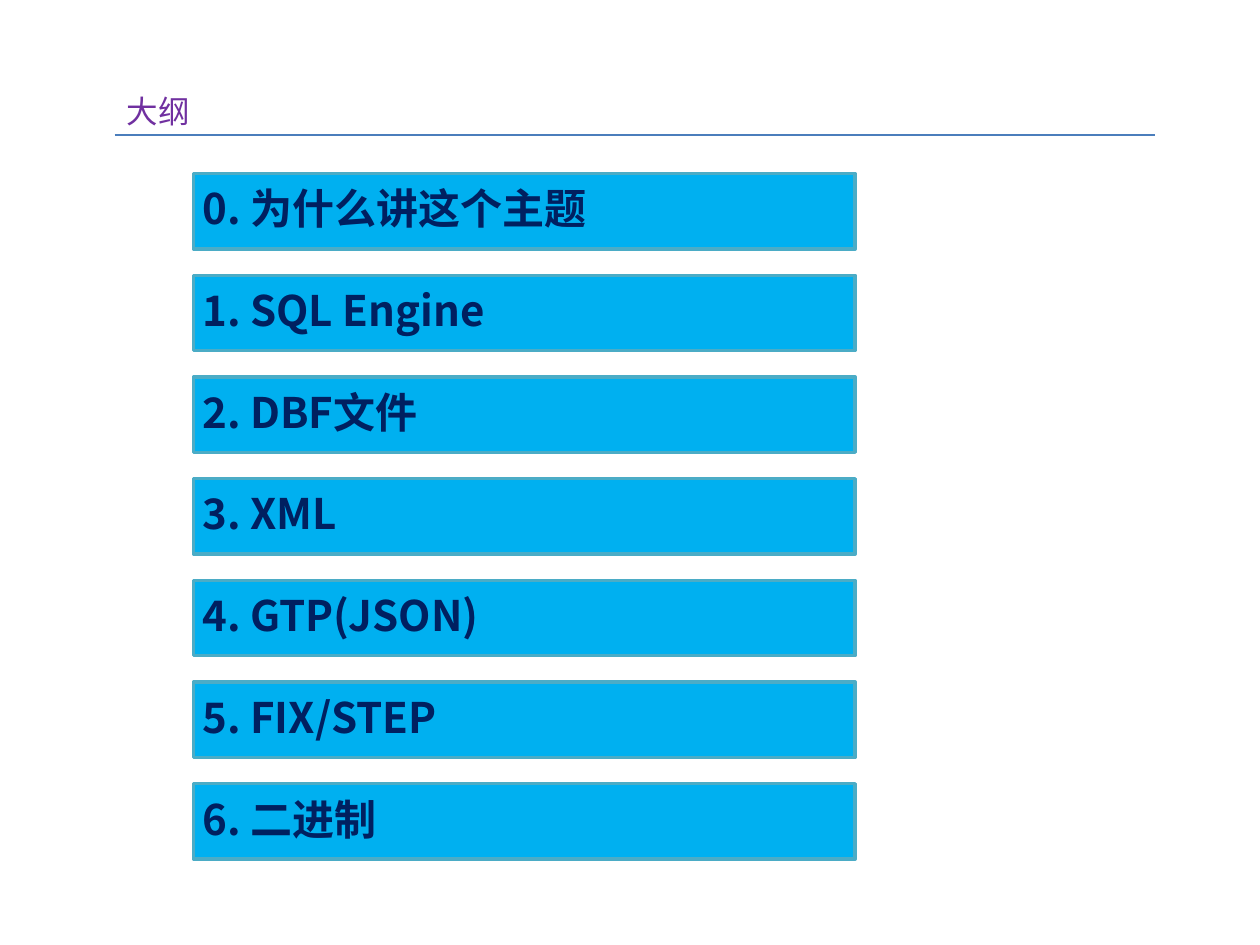
from lxml.etree import SubElement
from pptx import Presentation
from pptx.dml.color import RGBColor
from pptx.enum.shapes import MSO_CONNECTOR, MSO_SHAPE
from pptx.enum.text import MSO_ANCHOR, MSO_AUTO_SIZE, PP_ALIGN
from pptx.oxml.ns import qn
from pptx.slide import Slide
from pptx.text.text import _Paragraph as Paragraph
from pptx.util import Cm, Pt
from dataclasses import dataclass

PURPLE = RGBColor(0x70, 0x30, 0xA0)
NAVY = RGBColor(0x00, 0x20, 0x60)
SKY = RGBColor(0x00, 0xB0, 0xF0)
TEAL = RGBColor(0x4B, 0xAC, 0xC6)
RULE_BLUE = RGBColor(0x4B, 0x7E, 0xBC)

TOPICS_LEFT, TOPICS_TOP, TOPIC_PITCH = 3.9, 3.5, 2.05
TOPIC_WIDTH, TOPIC_HEIGHT = 13.34, 1.52


@dataclass(frozen=True)
class TextStyle:
    font: str
    size: float
    color: RGBColor
    bold: bool = False


TITLE_STYLE = TextStyle("Calibri", 18, PURPLE)
TOPIC_STYLE = TextStyle("Noto Sans CJK SC", 24, NAVY, bold=True)

TOPICS = [
    "0. 为什么讲这个主题",
    "1. SQL Engine",
    "2. DBF文件",
    "3. XML",
    "4. GTP(JSON)",
    "5. FIX/STEP",
    "6. 二进制",
]


def write(para: Paragraph, text: str, style: TextStyle) -> None:
    para.text = text
    para.alignment = PP_ALIGN.LEFT
    font = para.font
    font.name = style.font
    font.size = Pt(style.size)
    font.bold = style.bold
    font.color.rgb = style.color
    # The East Asian typeface has no public property.
    properties = para._p.pPr.find(qn("a:defRPr"))
    SubElement(properties, qn("a:ea")).set("typeface", style.font)


def add_title(page: Slide, text: str) -> None:
    box = page.shapes.add_textbox(Cm(2.31), Cm(1.73), Cm(4.39), Cm(1.02))
    box.text_frame.word_wrap = True
    box.text_frame.auto_size = MSO_AUTO_SIZE.SHAPE_TO_FIT_TEXT
    write(box.text_frame.paragraphs[0], text, TITLE_STYLE)


def add_title_rule(page: Slide) -> None:
    rule = page.shapes.add_connector(
        MSO_CONNECTOR.STRAIGHT, Cm(2.31), Cm(2.72), Cm(23.29), Cm(2.72)
    )
    rule.line.color.rgb = RULE_BLUE
    rule.line.width = Pt(0.75)
    SubElement(rule._element.spPr, qn("a:effectLst"))


def add_topic(page: Slide, row: int, text: str) -> None:
    box = page.shapes.add_shape(
        MSO_SHAPE.RECTANGLE,
        Cm(TOPICS_LEFT),
        Cm(TOPICS_TOP + row * TOPIC_PITCH),
        Cm(TOPIC_WIDTH),
        Cm(TOPIC_HEIGHT),
    )
    box.shadow.inherit = False
    box.fill.solid()
    box.fill.fore_color.rgb = SKY
    box.line.color.rgb = TEAL
    box.line.width = Pt(2)

    frame = box.text_frame
    frame.word_wrap = True
    frame.vertical_anchor = MSO_ANCHOR.MIDDLE
    frame.margin_left = frame.margin_right = Cm(0.18)
    frame.margin_top = frame.margin_bottom = Cm(0.18)
    para = frame.paragraphs[0]
    para.line_spacing = 0.9
    para.space_after = Pt(8.4)
    write(para, text, TOPIC_STYLE)


def main() -> None:
    deck = Presentation()
    deck.slide_width, deck.slide_height = Cm(25.4), Cm(19.05)
    page = deck.slides.add_slide(deck.slide_layouts[6])
    add_title_rule(page)
    add_title(page, "大纲")
    for row, topic in enumerate(TOPICS):
        add_topic(page, row, topic)
    deck.save("out.pptx")


if __name__ == "__main__":
    main()
